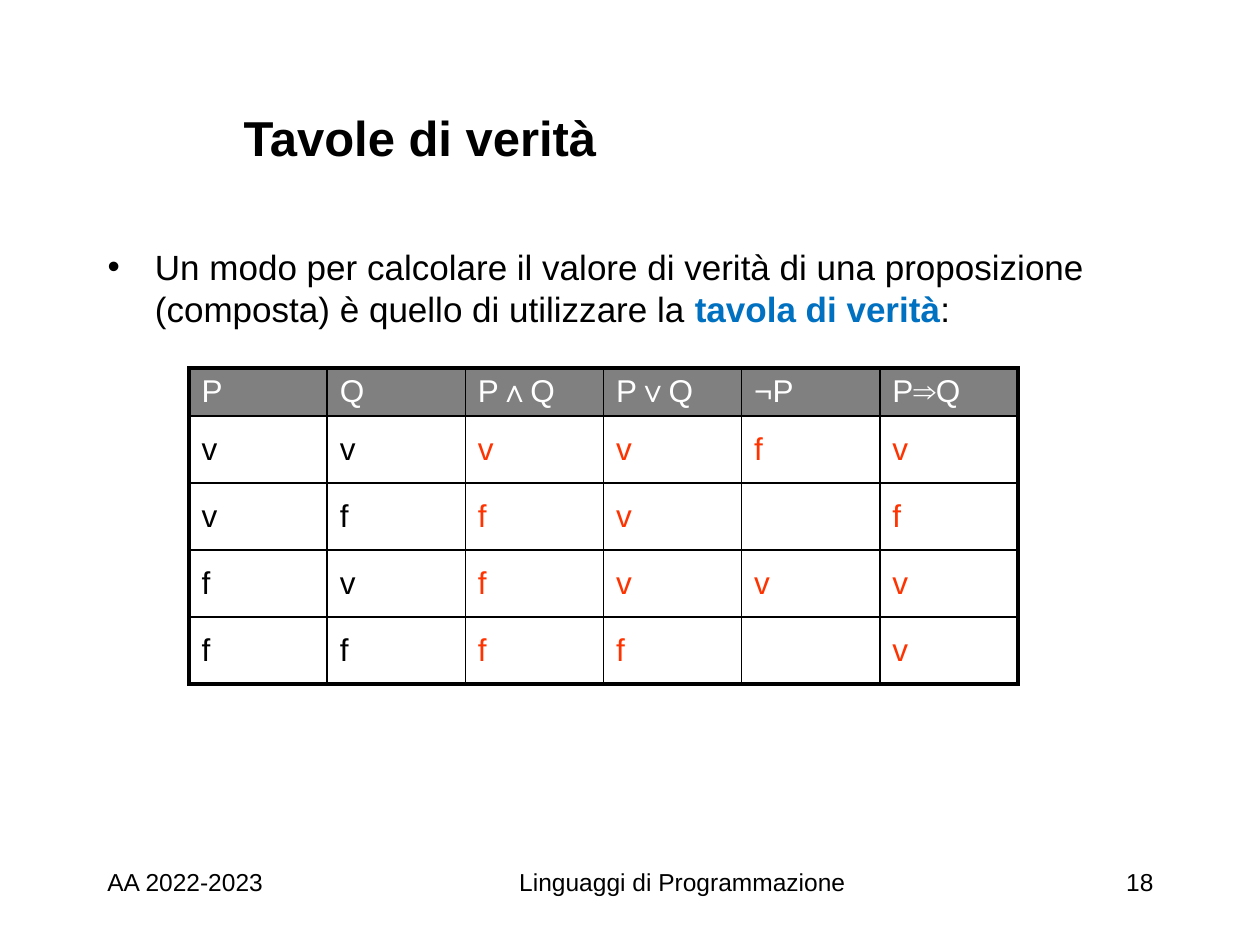
from lxml.etree import SubElement
from pptx import Presentation
from pptx.dml.color import RGBColor as RGB
from pptx.enum.text import MSO_ANCHOR as Anchor, MSO_AUTO_SIZE as Auto, PP_ALIGN as Align
from pptx.oxml.ns import qn
from pptx.util import Emu, Pt

SCALE = 914400 / 126
COLORS = {"text": "000000", "white": "FFFFFF", "header": "808080",
          "value": "FF3300", "term": "0070C0"}
ROWS = [
    ["P", "Q", "P∧Q", "P∨Q", "¬P", "P⇒Q"],
    ["v", "v", "v", "v", "f", "v"],
    ["v", "f", "f", "v", "", "f"],
    ["f", "v", "f", "v", "v", "v"],
    ["f", "f", "f", "f", "", "v"],
]


def px(n):
    return Emu(round(n * SCALE))


def place(sp, box):
    for name, n in zip(("left", "top", "width", "height"), box):
        setattr(sp, name, px(n))


def add_run(p, text, size, color="text", bold=False):
    r = p.add_run()
    r.text = text
    for name, value in {"name": "Arial", "size": Pt(size), "bold": bold}.items():
        setattr(r.font, name, value)
    r.font.color.rgb = RGB.from_string(COLORS[color])


def format_frame(tf, anchor=Anchor.TOP):
    for name, value in {"word_wrap": True, "auto_size": Auto.NONE,
                        "vertical_anchor": anchor}.items():
        setattr(tf, name, value)
    return tf.paragraphs[0]


def add_title(s, box):
    sp = s.shapes.title
    place(sp, box)
    p = format_frame(sp.text_frame, Anchor.MIDDLE)
    p.alignment = Align.LEFT
    add_run(p, "Tavole di verità", 28, bold=True)


def add_body(s, box):
    sp = s.placeholders[1]
    place(sp, box)
    p = format_frame(sp.text_frame)
    p.space_before = Pt(4)
    add_run(p, "Un modo per calcolare il valore di verità di una proposizione "
               "(composta) è quello di utilizzare la ", 20)
    add_run(p, "tavola di verità", 20, "term", True)
    add_run(p, ":", 20)


def set_borders(cell, widths):
    tcPr = cell._tc.get_or_add_tcPr()
    for i, (side, width) in enumerate(widths.items()):
        ln = SubElement(tcPr, qn(f"a:ln{side}"), w=str(Pt(width)))
        fill = SubElement(ln, qn("a:solidFill"))
        SubElement(fill, qn("a:srgbClr"), val=COLORS["text"])
        tcPr.insert(i, ln)


def add_truth_table(s, box, header_height):
    n_rows, n_cols = len(ROWS), len(ROWS[0])
    table = s.shapes.add_table(n_rows, n_cols, *map(px, box)).table
    table.first_row = table.horz_banding = False
    for col in table.columns:
        col.width = px(box[2] / n_cols)
    for i, row in enumerate(table.rows):
        row.height = px((box[3] - header_height) / (n_rows - 1) if i else header_height)
        for j, cell in enumerate(row.cells):
            cell.vertical_anchor = Anchor.MIDDLE
            if i:
                cell.fill.background()
            else:
                cell.fill.solid()
                cell.fill.fore_color.rgb = RGB.from_string(COLORS["header"])
            outer = {"L": j == 0, "R": j == n_cols - 1, "T": i == 0, "B": i == n_rows - 1}
            set_borders(cell, {side: 2.25 if edge else 1 for side, edge in outer.items()})
            if ROWS[i][j]:
                p = cell.text_frame.paragraphs[0]
                p.space_before = Pt(3.6)
                color = "white" if i == 0 else "text" if j < 2 else "value"
                add_run(p, ROWS[i][j], 18, color)


def add_footer(s, box):
    left, top, width, height = box
    parts = [
        ("AA 2022-2023", 0, 315, Align.LEFT),
        ("Linguaggi di Programmazione", 304, 567, Align.CENTER),
        ("18", width - 252, 252, Align.RIGHT),
    ]
    for text, dx, w, align in parts:
        sp = s.shapes.add_textbox(*map(px, (left + dx, top, w, height)))
        p = format_frame(sp.text_frame)
        p.alignment = align
        add_run(p, text, 14)


def main():
    prs = Presentation()
    prs.slide_width, prs.slide_height = px(1260), px(945)
    s = prs.slides.add_slide(prs.slide_layouts[1])
    add_footer(s, (95, 861, 1071, 63))
    add_title(s, (231, 84, 935, 105))
    add_body(s, (95, 239, 1071, 551))
    add_truth_table(s, (189, 368, 829, 316), 48)
    prs.save("out.pptx")


if __name__ == "__main__":
    main()
